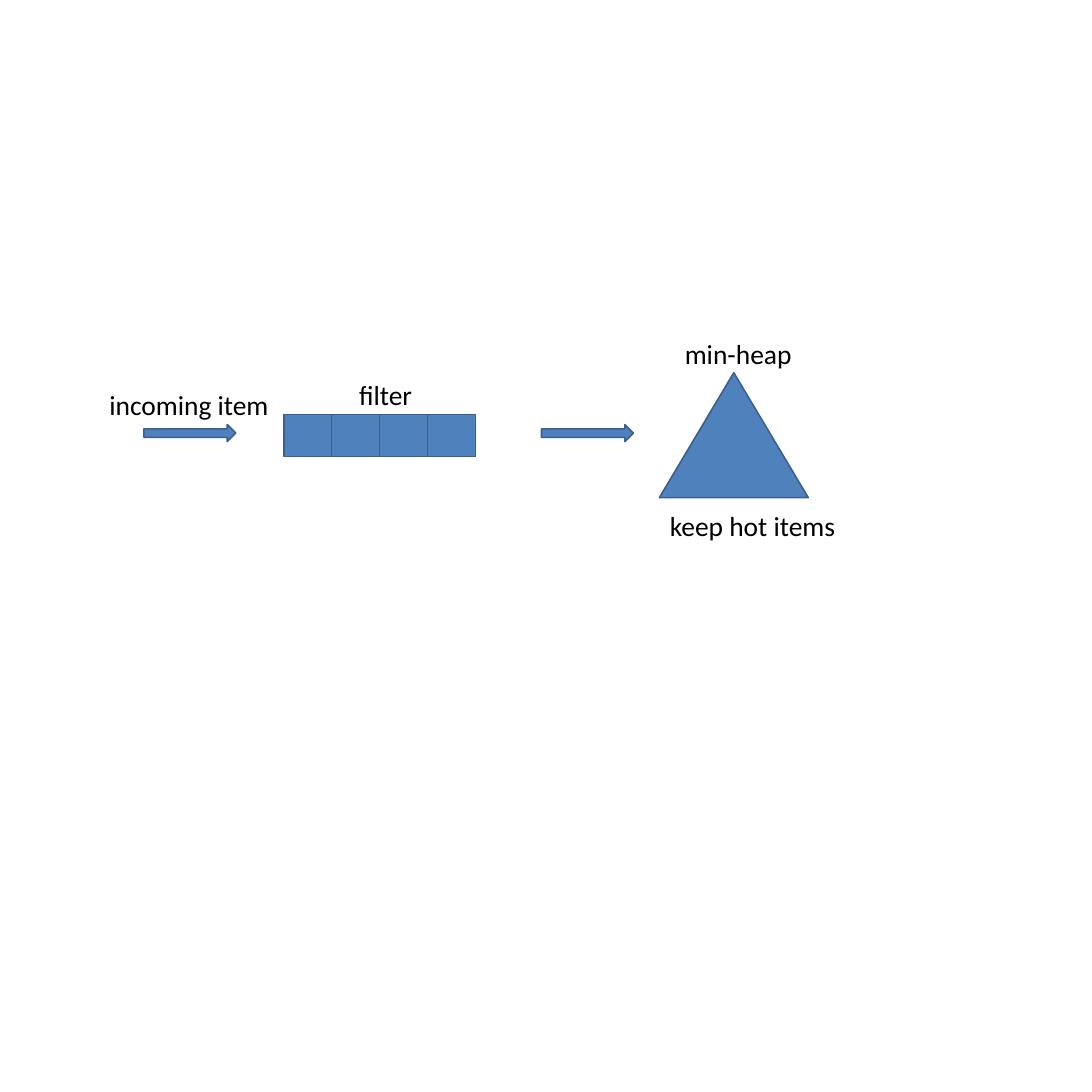
import pptx
import pptx.dml.color
import pptx.enum.shapes
import pptx.enum.text
import pptx.util

COLORS = {"fill": "4F81BD", "outline": "3A5F8C", "text": "000000"}
FONT = "Calibri"
EMU_PER_PIXEL = 914400 / 55.5
SLIDE_SIDE = 1093
LABEL_HEIGHT = 39
ARROW_TOP, ARROW_WIDTH, ARROW_HEIGHT = 425, 92, 17
CELL_LEFT, CELL_TOP, CELL_WIDTH, CELL_HEIGHT = 284, 415, 48, 42
CELL_COUNT = 4
SHAPES = pptx.enum.shapes.MSO_SHAPE


def emu(pixels):
    return pptx.util.Emu(round(pixels * EMU_PER_PIXEL))


def color(name):
    return pptx.dml.color.RGBColor.from_string(COLORS[name])


def add_block(slide, kind, left, top, width, height):
    shape = slide.shapes.add_shape(kind, *map(emu, (left, top, width, height)))
    shape.shadow.inherit = False
    shape.fill.solid()
    shape.fill.fore_color.rgb = color("fill")
    shape.line.color.rgb = color("outline")
    shape.line.width = pptx.util.Pt(2)


def add_label(slide, text, left, top, width):
    shape = slide.shapes.add_textbox(*map(emu, (left, top, width, LABEL_HEIGHT)))
    text_frame = shape.text_frame
    text_frame.word_wrap = False
    text_frame.auto_size = pptx.enum.text.MSO_AUTO_SIZE.SHAPE_TO_FIT_TEXT
    text_frame.text = text
    font = text_frame.paragraphs[0].runs[0].font
    font.name = FONT
    font.size = pptx.util.Pt(35.7)
    font.color.rgb = color("text")


def add_filter(slide):
    for index in range(CELL_COUNT):
        left = CELL_LEFT + index * CELL_WIDTH
        add_block(slide, SHAPES.RECTANGLE, left, CELL_TOP, CELL_WIDTH, CELL_HEIGHT)


def add_arrow(slide, left):
    add_block(slide, SHAPES.RIGHT_ARROW, left, ARROW_TOP, ARROW_WIDTH, ARROW_HEIGHT)


def main():
    presentation = pptx.Presentation()
    presentation.slide_width = presentation.slide_height = emu(SLIDE_SIDE)
    slide = presentation.slides.add_slide(presentation.slide_layouts[6])

    add_label(slide, "incoming item", 104, 386, 173)
    add_arrow(slide, 144)

    add_label(slide, "filter", 354, 376, 65)
    add_filter(slide)
    add_arrow(slide, 542)

    add_label(slide, "min-heap", 680, 335, 119)
    add_block(slide, SHAPES.ISOSCELES_TRIANGLE, 660, 373, 149, 125)
    add_label(slide, "keep hot items", 665, 507, 181)

    presentation.save("out.pptx")


main()
